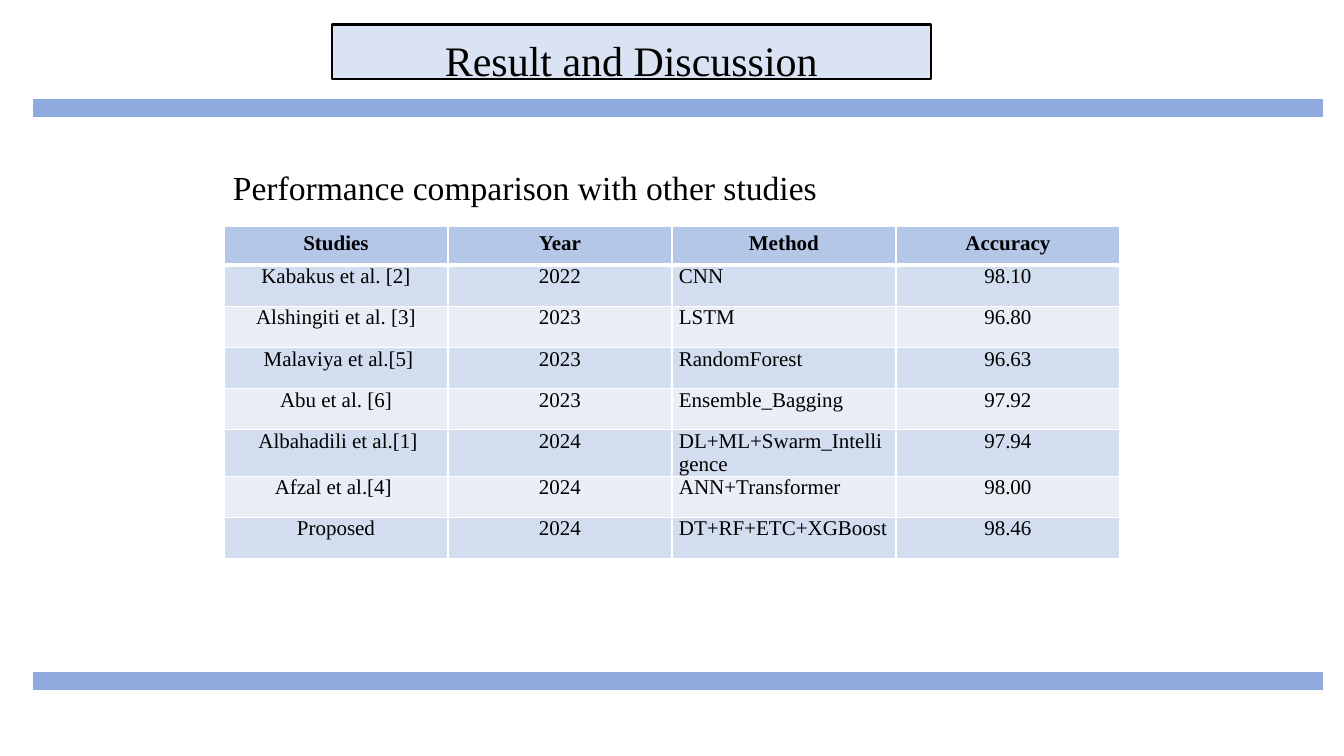
from dataclasses import astuple, dataclass

from lxml.etree import SubElement
from pptx import Presentation
from pptx.dml.color import RGBColor
from pptx.enum.shapes import MSO_SHAPE as Shape
from pptx.enum.text import MSO_ANCHOR as Anchor, MSO_AUTO_SIZE as AutoSize, PP_ALIGN as Align
from pptx.oxml.ns import qn
from pptx.slide import Slide
from pptx.table import _Cell as Cell
from pptx.util import Pt

FONT = "Times New Roman"
COLORS = {
    "text": "000000",
    "white": "FFFFFF",
    "title": "DAE3F3",
    "bar": "8FAADC",
    "header": "B4C7E7",
    "odd": "D2DEEF",
    "even": "EAEFF7",
}


@dataclass
class Study:
    name: str
    year: str
    method: str
    accuracy: str


HEADER = Study("Studies", "Year", "Method", "Accuracy")
STUDIES = [
    Study("Kabakus et al. [2]", "2022", "CNN", "98.10"),
    Study("Alshingiti et al. [3]", "2023", "LSTM", "96.80"),
    Study(" Malaviya et al.[5]", "2023", "RandomForest", "96.63"),
    Study("Abu et al. [6]", "2023", "Ensemble_Bagging", "97.92"),
    Study(" Albahadili et al.[1]", "2024", "DL+ML+Swarm_Intelligence", "97.94"),
    Study("Afzal et al.[4] ", "2024", "ANN+Transformer", "98.00"),
    Study("Proposed", "2024", "DT+RF+ETC+XGBoost", "98.46"),
]
METHOD_COLUMN = 2
COLUMN_WIDTH, HEADER_HEIGHT, ROW_HEIGHT = 160, 27.4, 29.4
BAR_TOPS = (70.1, 479.8)


def color(name: str) -> RGBColor:
    return RGBColor.from_string(COLORS[name])


def place(shape, left: float, top: float, width: float, height: float) -> None:
    shape.left, shape.top = Pt(left), Pt(top)
    shape.width, shape.height = Pt(width), Pt(height)


def paint(shape, fill: str, line: str, line_width: float) -> None:
    shape.fill.solid()
    shape.fill.fore_color.rgb = color(fill)
    shape.line.color.rgb = color(line)
    shape.line.width = Pt(line_width)


def format_paragraph(paragraph, size: float, align: Align, bold: bool = False) -> None:
    paragraph.alignment = align
    font = paragraph.font
    font.name, font.size, font.bold = FONT, Pt(size), bold
    font.color.rgb = color("text")


def add_title(slide: Slide) -> None:
    title = slide.shapes.title
    place(title, 236.9, 17.5, 428.4, 39)
    paint(title, "title", "text", 1.5)
    frame = title.text_frame
    frame.text = "Result and Discussion"
    frame.auto_size = AutoSize.NONE
    frame.vertical_anchor = Anchor.TOP
    frame.margin_top, frame.margin_bottom = Pt(7.2), 0
    paragraph = frame.paragraphs[0]
    paragraph.line_spacing = 1.0
    format_paragraph(paragraph, 30, Align.CENTER)


def add_caption(slide: Slide) -> None:
    box = slide.shapes.add_textbox(Pt(159.3), Pt(116), Pt(639.4), Pt(36))
    frame = box.text_frame
    frame.word_wrap = True
    frame.text = "Performance comparison with other studies"
    format_paragraph(frame.paragraphs[0], 24, Align.LEFT)


def add_bar(slide: Slide, top: float) -> None:
    bar = slide.shapes.add_shape(Shape.RECTANGLE, Pt(23), Pt(top), Pt(922.3), Pt(13.7))
    bar.shadow.inherit = False
    paint(bar, "bar", "white", 0.5)


def add_borders(cell: Cell, top: float, bottom: float) -> None:
    """Draw white cell edges; call before filling, as the schema puts lines first."""
    properties = cell._tc.get_or_add_tcPr()
    for side, width in (("L", 1), ("R", 1), ("T", top), ("B", bottom)):
        line = SubElement(properties, qn(f"a:ln{side}"), w=str(Pt(width)))
        fill = SubElement(line, qn("a:solidFill"))
        SubElement(fill, qn("a:srgbClr"), val=COLORS["white"])


def fill_cell(cell: Cell, text: str, row: int, column: int) -> None:
    is_header = row == 0
    add_borders(cell, 3 if row == 1 else 1, 3 if is_header else 1)
    cell.fill.solid()
    cell.fill.fore_color.rgb = color("header" if is_header else "odd" if row % 2 else "even")
    cell.text = text
    paragraph = cell.text_frame.paragraphs[0]
    left_aligned = column == METHOD_COLUMN and not is_header
    format_paragraph(paragraph, 15, Align.LEFT if left_aligned else Align.CENTER, is_header)
    if not is_header:
        cell.margin_left = cell.margin_right = Pt(5)
        cell.margin_top = cell.margin_bottom = 0
        paragraph.space_before = paragraph.space_after = Pt(1.8)


def add_comparison_table(slide: Slide) -> None:
    rows = [astuple(study) for study in (HEADER, *STUDIES)]
    column_count = len(rows[0])
    height = HEADER_HEIGHT + ROW_HEIGHT * len(STUDIES)
    table = slide.shapes.add_table(
        len(rows), column_count, Pt(160), Pt(162), Pt(COLUMN_WIDTH * column_count), Pt(height)
    ).table
    for row, values in enumerate(rows):
        table.rows[row].height = Pt(ROW_HEIGHT if row else HEADER_HEIGHT)
        for column, text in enumerate(values):
            fill_cell(table.cell(row, column), text, row, column)


def main() -> None:
    presentation = Presentation()
    presentation.slide_width, presentation.slide_height = Pt(960), Pt(540)
    slide = presentation.slides.add_slide(presentation.slide_layouts[5])
    add_title(slide)
    add_comparison_table(slide)
    add_caption(slide)
    for top in BAR_TOPS:
        add_bar(slide, top)
    presentation.save("out.pptx")


if __name__ == "__main__":
    main()
